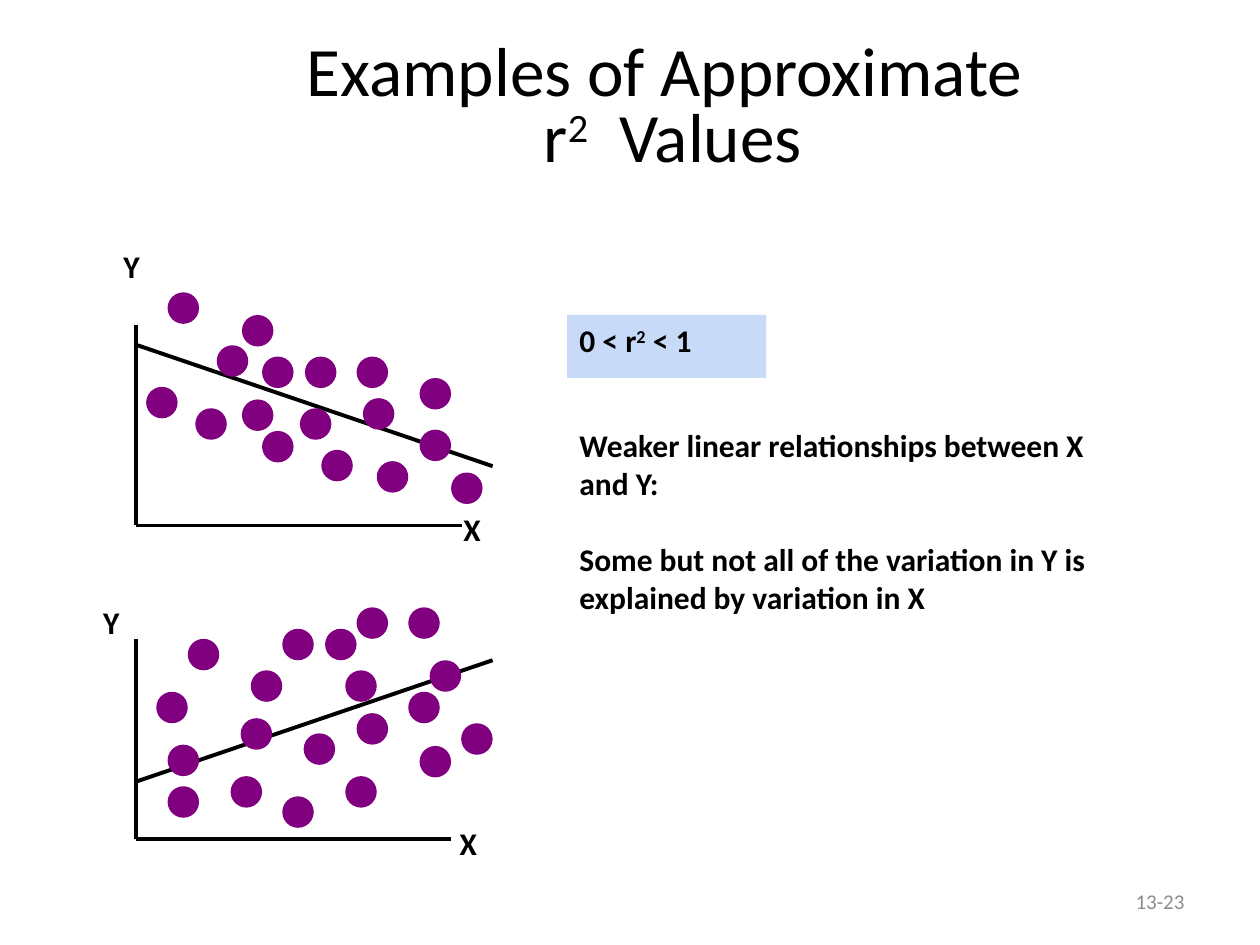
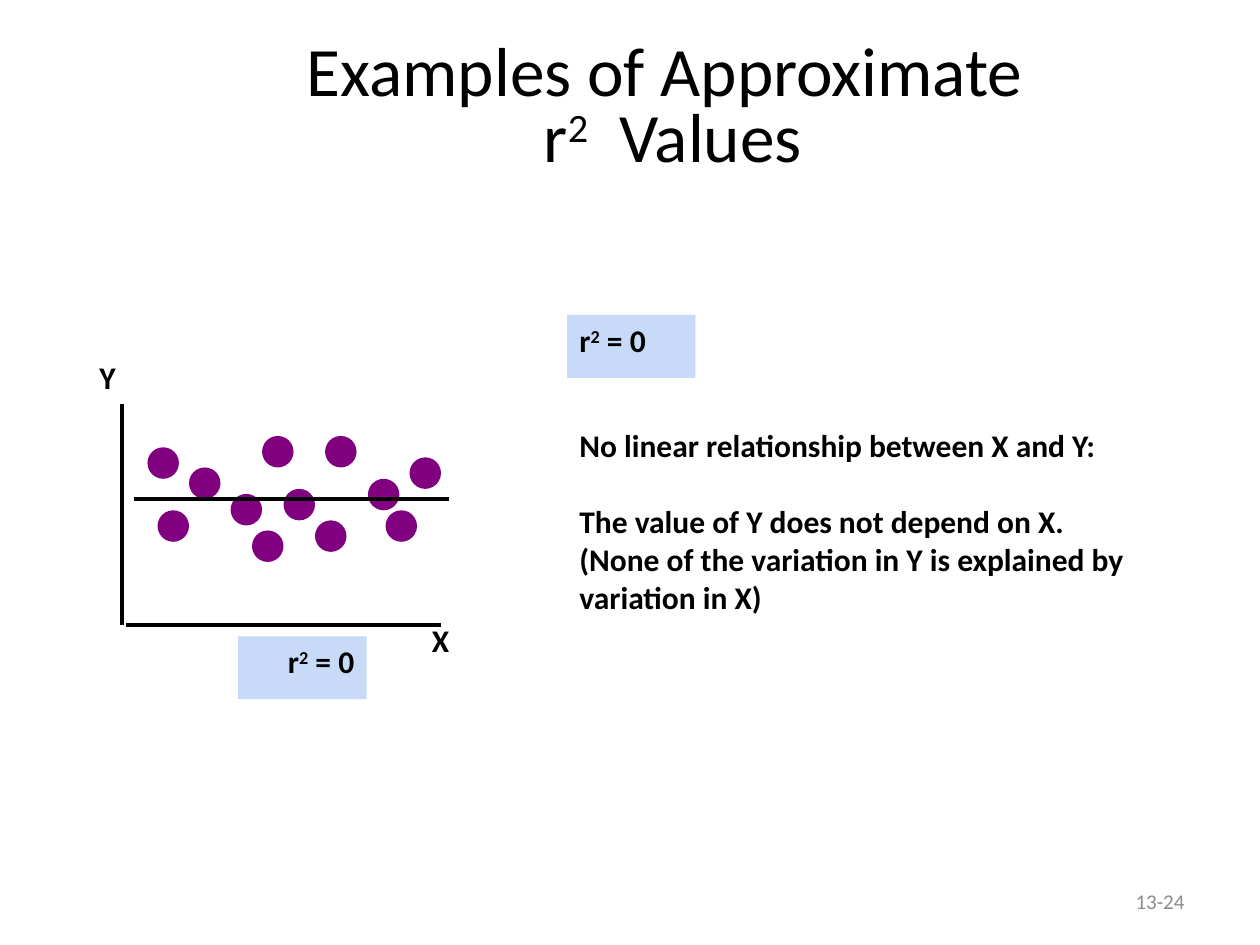
"""Build two slides on approximate r-squared values with scatter sketches."""
from dataclasses import dataclass

from lxml.etree import SubElement
from pptx import Presentation
from pptx.dml.color import RGBColor
from pptx.enum.shapes import MSO_CONNECTOR as Connector, MSO_SHAPE as Preset
from pptx.enum.text import MSO_ANCHOR as Anchor, PP_ALIGN as Align
from pptx.oxml.ns import qn
from pptx.shapes.autoshape import Shape
from pptx.slide import Slide
from pptx.util import Inches, Pt

BLACK = RGBColor(0x00, 0x00, 0x00)
GREY = RGBColor(0x8C, 0x8C, 0x8C)
PURPLE = RGBColor(0x80, 0x00, 0x80)
PALE_BLUE = RGBColor(0xC7, 0xDA, 0xF7)
FONT = "Calibri"
TITLE_ONLY = 5
TEXT_SIZE = 18
LINE_GAP = 22

# The slide is a grid of 100 columns and 75 rows; every length is in cells.
COLUMNS, ROWS = 100, 75
SLIDE_WIDTH, SLIDE_HEIGHT = Inches(10), Inches(7.5)
DOT_SIZE = 2.5
LABEL_SIZE = (4.2, 5)

Cell = tuple[float, float]
Area = tuple[float, float, float, float]
Pieces = list[str]  # every second piece is a superscript

TITLE_AREA: Area = (10.8, 3.3, 85.2, 10.8)
NUMBER_AREA: Area = (71.7, 69.5, 23.3, 4)
TITLE: Pieces = ["Examples of Approximate \vr", "2", "  Values"]
ZERO: Pieces = ["r", "2", " = 0"]


@dataclass(frozen=True)
class Line:
    """A straight line between two cells."""
    start: Cell
    end: Cell
    weight: float = 2


@dataclass(frozen=True)
class Scatter:
    """A sketch of two axes, a trend line and dots."""
    y_axis: Line
    x_axis: Line
    trend: Line
    y_label: Cell
    x_label: Cell
    dots: list[Cell]
    trend_in_front: bool = False


@dataclass(frozen=True)
class Badge:
    """A pale box that states a value of r squared."""
    area: Area
    pieces: Pieces
    align: Align = Align.LEFT


@dataclass(frozen=True)
class Page:
    """Everything that differs from slide to slide."""
    number: str
    scatters: list[Scatter]
    badges: list[Badge]
    notes: list[str]


PAGES = [
    Page(
        "13-23",
        [
            Scatter(
                y_axis=Line((10.8, 25.8), (10.8, 41.7)),
                x_axis=Line((10.8, 41.7), (36.7, 41.7)),
                trend=Line((10.9, 27.4), (39.1, 37), 2.25),
                y_label=(8.8, 19.1),
                x_label=(35.8, 40),
                dots=[(11.6, 30.7), (13.3, 23.2), (15.5, 32.4), (17.2, 27.4),
                      (19.2, 25), (19.2, 31.7), (20.8, 28.3), (20.8, 34.2),
                      (23.8, 32.4), (24.2, 28.3), (25.5, 35.7), (28.3, 28.3),
                      (28.8, 31.6), (29.9, 36.6), (33.3, 30), (33.3, 34.1),
                      (35.8, 37.5)],
            ),
            Scatter(
                y_axis=Line((10.8, 50.7), (10.8, 66.6)),
                x_axis=Line((10.8, 66.6), (35.8, 66.6)),
                trend=Line((10.9, 62), (39.1, 52.4), 2.25),
                y_label=(7.2, 47.4),
                x_label=(35.5, 64.9),
                dots=[(12.4, 54.9), (13.3, 59.1), (13.3, 62.4), (14.9, 50.7),
                      (18.3, 61.6), (19.1, 57), (19.9, 53.2), (22.4, 49.9),
                      (22.4, 63.2), (24.1, 58.2), (25.8, 49.9), (27.4, 53.2),
                      (27.4, 61.6), (28.3, 48.2), (28.3, 56.6), (32.4, 48.2),
                      (32.4, 54.9), (33.3, 59.2), (34.1, 52.4), (36.6, 57.4)],
            ),
        ],
        [Badge((45, 25, 15.8, 5), ["0 < r", "2", " < 1"])],
        ["Weaker linear relationships between X and Y:",
         "Some but not all of the variation in Y is explained by "
         "variation in X"],
    ),
    Page(
        "13-24",
        [
            Scatter(
                y_axis=Line((9.7, 32.1), (9.7, 49.6)),
                x_axis=Line((10, 49.6), (35, 49.6)),
                trend=Line((10.6, 39.6), (35.6, 39.6)),
                y_label=(6.9, 27.9),
                x_label=(33.3, 48.8),
                dots=[(11.7, 35.5), (12.5, 40.5), (15, 37.1), (18.3, 39.2),
                      (20, 42.1), (20.8, 34.6), (22.5, 38.8), (25, 41.3),
                      (25.8, 34.6), (29.2, 38), (30.6, 40.5), (32.5, 36.3)],
                trend_in_front=True,
            ),
        ],
        [Badge((45, 25, 10.2, 5), ZERO),
         Badge((18.9, 50.5, 10.2, 5), ZERO, Align.RIGHT)],
        ["No linear relationship between X and Y:",
         "The value of Y does not depend on X. (None of the variation in Y "
         "is explained by variation in X)"],
    ),
]


def across(columns: float) -> int:
    """Turn grid columns into a length."""
    return round(SLIDE_WIDTH * columns / COLUMNS)


def down(rows: float) -> int:
    """Turn grid rows into a length."""
    return round(SLIDE_HEIGHT * rows / ROWS)


def place(area: Area) -> tuple[int, int, int, int]:
    """Turn a grid area into left, top, width and height."""
    left, top, width, height = area
    return across(left), down(top), across(width), down(height)


def write(shape: Shape, paragraphs: list[Pieces], size: float = TEXT_SIZE,
          bold: bool = True, color: RGBColor = BLACK,
          align: Align = Align.LEFT, anchor: Anchor = Anchor.TOP) -> None:
    """Fill a shape with formatted paragraphs."""
    frame = shape.text_frame
    frame.word_wrap = True
    frame.vertical_anchor = anchor
    for index, pieces in enumerate(paragraphs):
        para = frame.add_paragraph() if index else frame.paragraphs[0]
        para.alignment = align
        para.space_before = Pt(LINE_GAP if index else 0)
        for position, piece in enumerate(pieces):
            before, *after = piece.split("\v")
            spans = [para.add_run()]
            spans[0].text = before
            for text in after:
                para.add_line_break()
                spans.append(para.add_run())
                spans[-1].text = text
            for span in spans:
                font = span.font
                font.name, font.size, font.bold = FONT, Pt(size), bold
                font.color.rgb = color
                if position % 2:
                    font._element.set("baseline", "30000")


def add_text(slide: Slide, area: Area, paragraphs: list[Pieces],
             **style) -> None:
    """Add a text box; style goes on to write."""
    write(slide.shapes.add_textbox(*place(area)), paragraphs, **style)


def add_filled(slide: Slide, preset: Preset, area: Area,
               color: RGBColor) -> Shape:
    """Add a plain filled shape without outline or shadow."""
    shape = slide.shapes.add_shape(preset, *place(area))
    shape.shadow.inherit = False
    shape.fill.solid()
    shape.fill.fore_color.rgb = color
    shape.line.fill.background()
    return shape


def add_line(slide: Slide, line: Line) -> None:
    """Draw a black line without a shadow."""
    (left, top), (right, bottom) = line.start, line.end
    connector = slide.shapes.add_connector(
        Connector.STRAIGHT, across(left), down(top), across(right),
        down(bottom))
    connector.line.color.rgb = BLACK
    connector.line.width = Pt(line.weight)
    SubElement(connector._element.spPr, qn("a:effectLst"))


def add_scatter(slide: Slide, scatter: Scatter) -> None:
    """Draw the axes, labels, dots and trend line of a sketch."""
    add_line(slide, scatter.y_axis)
    add_line(slide, scatter.x_axis)
    for text, corner in (("Y", scatter.y_label), ("X", scatter.x_label)):
        add_text(slide, (*corner, *LABEL_SIZE), [[text]])
    if not scatter.trend_in_front:
        add_line(slide, scatter.trend)
    for dot in scatter.dots:
        add_filled(slide, Preset.OVAL, (*dot, DOT_SIZE, DOT_SIZE), PURPLE)
    if scatter.trend_in_front:
        add_line(slide, scatter.trend)


def add_title(slide: Slide) -> None:
    """Place and fill the title placeholder."""
    title = slide.shapes.title
    title.left, title.top, title.width, title.height = place(TITLE_AREA)
    write(title, [TITLE], size=39.6, bold=False, align=Align.CENTER,
          anchor=Anchor.MIDDLE)
    title.text_frame.paragraphs[0].line_spacing = 0.8


def add_page(deck: Presentation, page: Page) -> None:
    """Add one slide with title, number, sketches, badges and notes."""
    slide = deck.slides.add_slide(deck.slide_layouts[TITLE_ONLY])
    add_title(slide)
    add_text(slide, NUMBER_AREA, [[page.number]], size=12, bold=False,
             color=GREY, align=Align.RIGHT, anchor=Anchor.MIDDLE)
    for scatter in page.scatters:
        add_scatter(slide, scatter)
    for badge in page.badges:
        box = add_filled(slide, Preset.RECTANGLE, badge.area, PALE_BLUE)
        write(box, [badge.pieces], align=badge.align)
    add_text(slide, (45, 33.3, 45.8, 25), [[note] for note in page.notes])


def main() -> None:
    """Build and save the deck."""
    deck = Presentation()
    deck.slide_width, deck.slide_height = SLIDE_WIDTH, SLIDE_HEIGHT
    for page in PAGES:
        add_page(deck, page)
    deck.save("out.pptx")


main()
